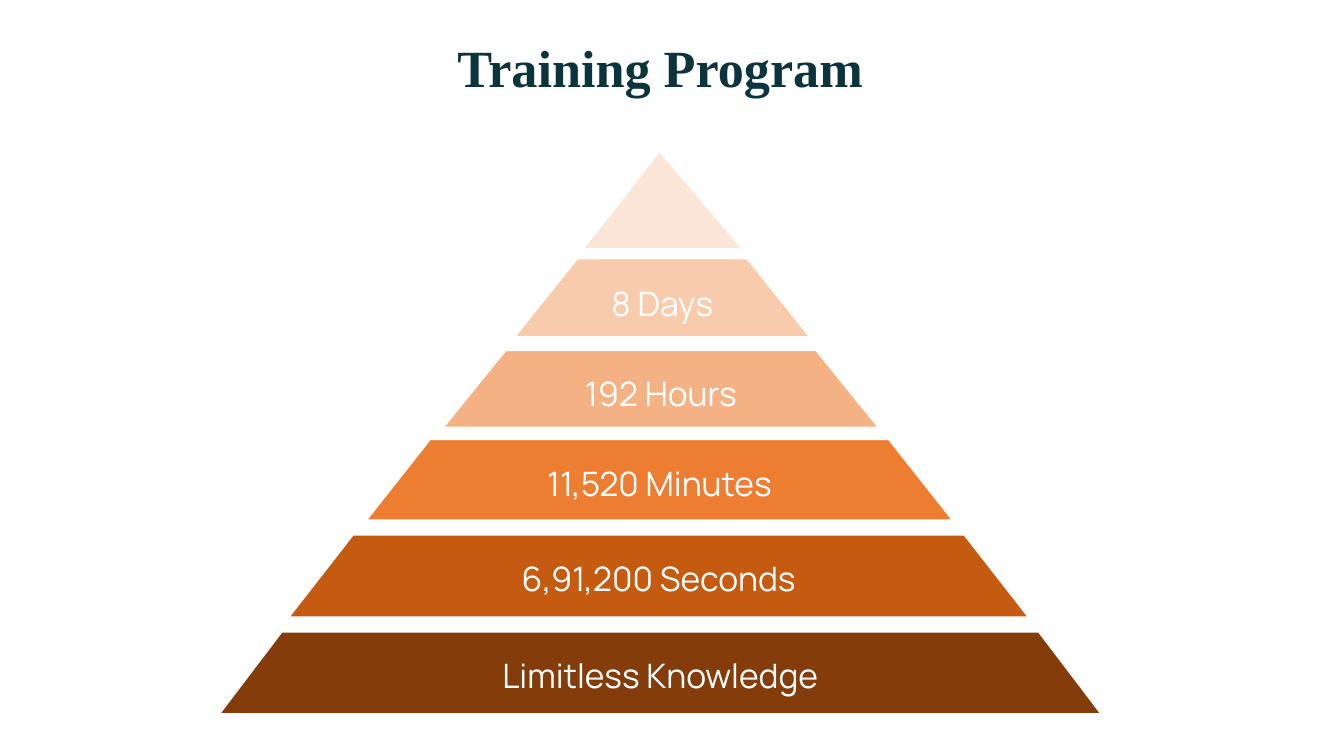
from dataclasses import dataclass

from pptx import Presentation
from pptx.dml.color import RGBColor
from pptx.enum import shapes, text
from pptx.slide import Slide
from pptx.util import Cm, Pt

WHITE = RGBColor(0xFF, 0xFF, 0xFF)
TEAL = RGBColor(0x0C, 0x34, 0x3D)
CREAM = RGBColor(0xFB, 0xE5, 0xD6)
PEACH = RGBColor(0xF8, 0xCB, 0xAD)
APRICOT = RGBColor(0xF4, 0xB1, 0x83)
ORANGE = RGBColor(0xED, 0x7D, 0x31)
RUST = RGBColor(0xC5, 0x5A, 0x11)
BROWN = RGBColor(0x84, 0x3C, 0x0B)

TIP = shapes.MSO_SHAPE.ISOSCELES_TRIANGLE
BAND = shapes.MSO_SHAPE.TRAPEZOID


@dataclass
class Tier:
    label: str
    left: float
    top: float
    width: float
    height: float
    slant: float
    fill: RGBColor
    kind: shapes.MSO_SHAPE = BAND


TIERS = [
    Tier("", 14.66, 3.78, 4.09, 2.51, 0.48, CREAM, TIP),
    Tier("8 Days", 12.93, 6.5, 7.52, 2.01, 0.8, PEACH),
    Tier("192 Hours", 11.13, 8.81, 11.05, 1.98, 0.81, APRICOT),
    Tier("11,520 Minutes", 9.19, 11.05, 14.86, 2.08, 0.79, ORANGE),
    Tier("6,91,200 Seconds", 7.24, 13.46, 18.72, 2.11, 0.78, RUST),
    Tier("Limitless Knowledge", 5.49, 15.9, 22.3, 2.11, 0.76, BROWN),
]


def write(frame: text, label: str, color: RGBColor, **style: object) -> None:
    """Fill a text frame with one centred, formatted paragraph."""
    frame.text = label
    para = frame.paragraphs[0]
    para.alignment = text.PP_ALIGN.CENTER
    for name, value in style.items():
        setattr(para.font, name, value)
    para.font.color.rgb = color


def add_title(slide: Slide) -> None:
    title = slide.shapes.title
    place = {"left": 4.55, "top": 0.51, "width": 24.18, "height": 2.29}
    for name, value in place.items():
        setattr(title, name, Cm(value))
    frame = title.text_frame
    frame.auto_size = text.MSO_AUTO_SIZE.NONE
    frame.vertical_anchor = text.MSO_ANCHOR.BOTTOM
    for side in ("left", "top", "right", "bottom"):
        setattr(frame, f"margin_{side}", Cm(0.33))
    write(frame, "Training Program", TEAL,
          name="Times New Roman", size=Pt(37.3), bold=True)


def add_tier(slide: Slide, tier: Tier) -> None:
    box = map(Cm, (tier.left, tier.top, tier.width, tier.height))
    shape = slide.shapes.add_shape(tier.kind, *box)
    shape.adjustments[0] = tier.slant
    shape.shadow.inherit = False
    shape.fill.solid()
    shape.fill.fore_color.rgb = tier.fill
    shape.line.color.rgb = WHITE
    shape.line.width = Pt(2.25)
    if tier.label:
        frame = shape.text_frame
        frame.vertical_anchor = text.MSO_ANCHOR.MIDDLE
        write(frame, tier.label, WHITE, name="Manrope", size=Pt(24))


def main() -> None:
    deck = Presentation()
    deck.slide_width, deck.slide_height = Cm(33.87), Cm(19.05)
    slide = deck.slides.add_slide(deck.slide_layouts.get_by_name("Title Only"))
    add_title(slide)
    for tier in TIERS:
        add_tier(slide, tier)
    deck.save("out.pptx")


if __name__ == "__main__":
    main()
